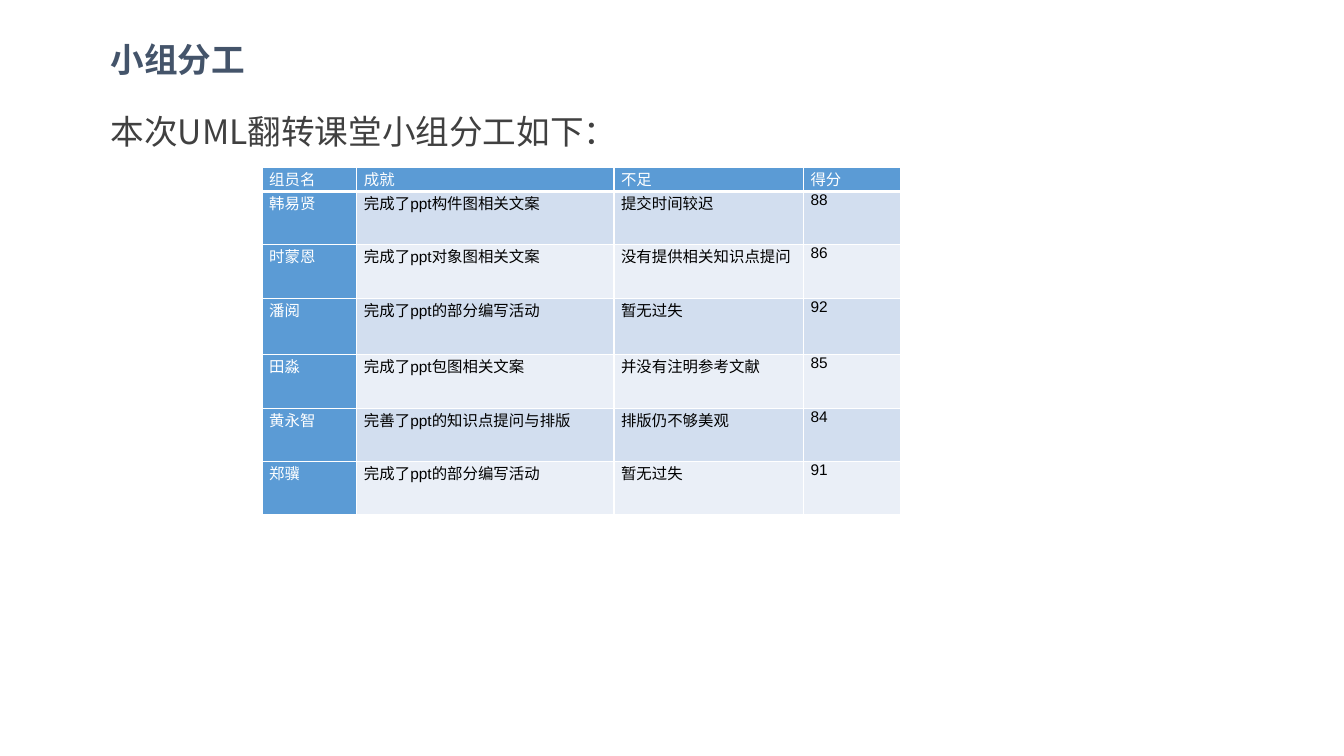
from lxml import etree
from pptx import Presentation
from pptx import util as u
from pptx.dml.color import RGBColor
from pptx.enum import text
from pptx.oxml import ns

WIDTH, HEIGHT = 13.33, 7.5
CJK, LATIN = "Noto Sans CJK SC", "Arial"
COLORS = {
    "title": "44546A",
    "intro": "404040",
    "header": "5B9BD5",
    "odd": "D2DEEF",
    "even": "EAEFF7",
    "white": "FFFFFF",
    "black": "000000",
}
COLUMNS = (0.94, 2.55, 1.88, 0.96)
ROWS = (0.24, 0.53, 0.53, 0.56, 0.53, 0.53, 0.53)
MEMBERS = (
    ("组员名", "成就", "不足", "得分"),
    ("韩易贤", "完成了ppt构件图相关文案", "提交时间较迟", "88"),
    ("时蒙恩", "完成了ppt对象图相关文案", "没有提供相关知识点提问", "86"),
    ("潘阅", "完成了ppt的部分编写活动", "暂无过失", "92"),
    ("田淼", "完成了ppt包图相关文案", "并没有注明参考文献", "85"),
    ("黄永智", "完善了ppt的知识点提问与排版", "排版仍不够美观", "84"),
    ("郑骥", "完成了ppt的部分编写活动", "暂无过失", "91"),
)


def add_run(p, words, size, color, font=CJK, bold=False):
    """Add one styled run, with the Chinese font for East Asian letters."""
    r = p.add_run()
    r.text = words
    r.font.size = u.Pt(size)
    r.font.bold = bold
    r.font.name = font
    r.font.color.rgb = RGBColor.from_string(COLORS[color])
    etree.SubElement(r.font._element, ns.qn("a:ea"), typeface=CJK)


def add_textbox(slide, box):
    """Add an empty text box and return its text frame."""
    tf = slide.shapes.add_textbox(*(u.Inches(v) for v in box)).text_frame
    tf.word_wrap = True
    return tf


def add_title(slide, box):
    """Place the bold slide title, centred in its box."""
    tf = add_textbox(slide, box)
    tf.margin_left = tf.margin_right = 0
    tf.vertical_anchor = text.MSO_ANCHOR.MIDDLE
    p = tf.paragraphs[0]
    p.alignment = text.PP_ALIGN.CENTER
    add_run(p, "小组分工", 24, "title", bold=True)


def add_intro(slide, box):
    """Place the sentence that introduces the table."""
    tf = add_textbox(slide, box)
    tf.auto_size = text.MSO_AUTO_SIZE.SHAPE_TO_FIT_TEXT
    p = tf.paragraphs[0]
    p.line_spacing = 1.5
    add_run(p, "本次UML翻转课堂小组分工如下：", 24, "intro")


def set_borders(cell, top, bottom):
    """Draw white cell borders, with given top and bottom widths in points."""
    tcPr = cell._tc.get_or_add_tcPr()
    for side, width in (("L", 1), ("R", 1), ("T", top), ("B", bottom)):
        ln = etree.SubElement(tcPr, ns.qn(f"a:ln{side}"), w=str(u.Pt(width)))
        fill = etree.SubElement(ln, ns.qn("a:solidFill"))
        etree.SubElement(fill, ns.qn("a:srgbClr"), val=COLORS["white"])


def fill_cell(cell, words, row, column):
    """Write and style one table cell according to its row and column."""
    heading = row == 0 or column == 0
    band = "header" if heading else ("even", "odd")[row % 2]
    set_borders(cell, 3 if row == 1 else 1, 3 if row == 0 else 1)
    cell.fill.solid()
    cell.fill.fore_color.rgb = RGBColor.from_string(COLORS[band])
    cell.margin_left = cell.margin_right = u.Inches(0.07)
    cell.margin_top = cell.margin_bottom = 0
    p = cell.text_frame.paragraphs[0]
    p.space_before = u.Pt(6)
    add_run(p, words, 11, "white" if heading else "black", LATIN)


def add_member_table(slide, box):
    """Place the table of members, sharing the box by column and row weights."""
    left, top, width, height = box
    frame = slide.shapes.add_table(
        len(ROWS), len(COLUMNS), *(u.Inches(v) for v in box))
    table = frame.table
    for column, share in zip(table.columns, COLUMNS):
        column.width = u.Inches(width * share / sum(COLUMNS))
    for row, share in zip(table.rows, ROWS):
        row.height = u.Inches(height * share / sum(ROWS))
    for i, member in enumerate(MEMBERS):
        for j, words in enumerate(member):
            fill_cell(table.cell(i, j), words, i, j)


def main():
    """Build the slide and save it."""
    prs = Presentation()
    prs.slide_width, prs.slide_height = u.Inches(WIDTH), u.Inches(HEIGHT)
    slide = prs.slides.add_slide(prs.slide_layouts[6])
    margin = 1
    add_title(slide, (margin, 0.31, 1.53, 0.55))
    add_intro(slide, (margin, 0.85, 5.56, 0.71))
    add_member_table(slide, (2.6, 1.66, sum(COLUMNS), sum(ROWS)))
    prs.save("out.pptx")


if __name__ == "__main__":
    main()
